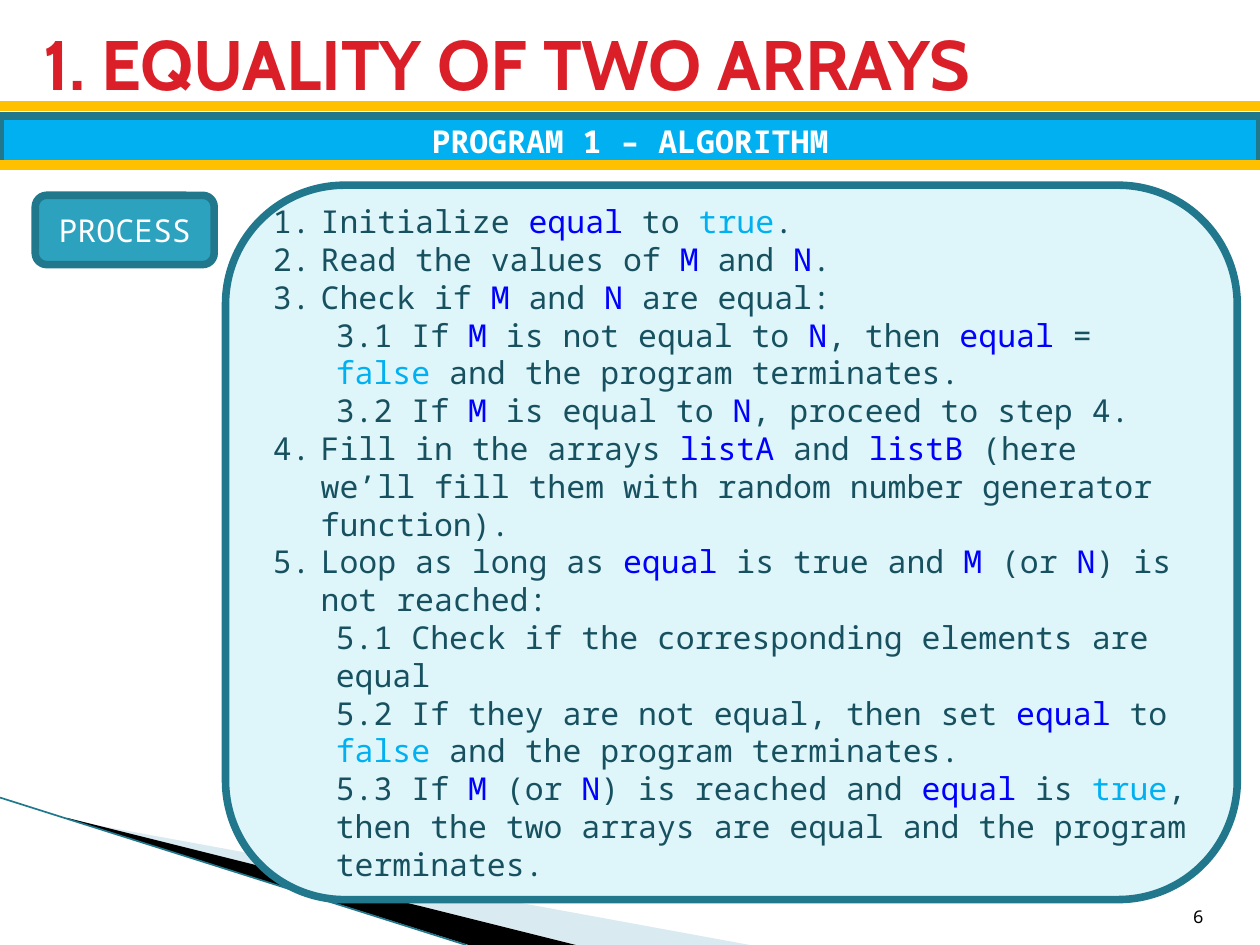
from lxml.etree import SubElement
from pptx import Presentation
from pptx.dml.color import RGBColor
from pptx.enum.shapes import MSO_CONNECTOR, MSO_SHAPE
from pptx.enum.text import MSO_ANCHOR, PP_ALIGN
from pptx.oxml.ns import qn
from pptx.util import Inches, Pt

MONO = "Noto Sans Mono"
TEAL, DARK, BLUE, SKY, GOLD = "21788D", "175160", "0000FF", "00B0F0", "FFC000"


def colour(hex_string):
    return RGBColor.from_string(hex_string)


def write(paragraph, text, size, hex_string, font=MONO, bold=False):
    run = paragraph.add_run()
    run.text = text
    run.font.size = Pt(size)
    run.font.name = font
    run.font.bold = bold
    run.font.color.rgb = colour(hex_string)


presentation = Presentation()
presentation.slide_width, presentation.slide_height = Inches(10), Inches(7.5)
column = presentation.slide_width / 100
row = presentation.slide_height / 75
slide = presentation.slides.add_slide(presentation.slide_layouts[6])

wedges = [
    ([(5.5, 65.1), (59.5, 75), (45.6, 75), (5.5, 65)], "A0CBDC", 40),
    ([(5.3, 64.9), (45.7, 75), (37.2, 75), (5.4, 65)], "000000", 100),
]
for corners, fill, opacity in wedges:
    points = [(round(x * column), round(y * row)) for x, y in corners]
    builder = slide.shapes.build_freeform(*points[0])
    builder.add_line_segments(points[1:])
    wedge = builder.convert_to_shape()
    wedge.shadow.inherit = False
    wedge.fill.solid()
    wedge.fill.fore_color.rgb = colour(fill)
    wedge.line.fill.background()
    if opacity < 100:
        tint = wedge.fill._xPr.find(qn("a:solidFill"))[0]
        SubElement(tint, qn("a:alpha"), val=str(opacity * 1000))

rules = [
    (0, 63.3, 37, 75, TEAL, 0.95),
    (0, 8.4, 100, 8.4, GOLD, 6),
    (0, 13.1, 100, 13.1, GOLD, 6),
]
panels = [
    (MSO_SHAPE.ROUNDED_RECTANGLE, 17.9, 14.7, 80.3, 56.7, "DEF5FA", "", False),
    (MSO_SHAPE.RECTANGLE, 0, 9.2, 100, 3.9, SKY, "PROGRAM 1 – ALGORITHM", True),
    (MSO_SHAPE.ROUNDED_RECTANGLE, 2.8, 15.5, 14.2, 5.5, "2DA2BF", "PROCESS", False),
]
drawing_order = [rules[0], panels[0], rules[1], panels[1], rules[2], panels[2]]
frames = []
for item in drawing_order:
    if item in rules:
        left, top, right, bottom, line_colour, width = item
        connector = slide.shapes.add_connector(
            MSO_CONNECTOR.STRAIGHT,
            round(left * column), round(top * row),
            round(right * column), round(bottom * row),
        )
        connector.line.color.rgb = colour(line_colour)
        connector.line.width = Pt(width)
        SubElement(connector._element.spPr, qn("a:effectLst"))
        continue
    kind, left, top, width, height, fill, label, bold = item
    shape = slide.shapes.add_shape(
        kind, round(left * column), round(top * row),
        round(width * column), round(height * row),
    )
    shape.shadow.inherit = False
    shape.fill.solid()
    shape.fill.fore_color.rgb = colour(fill)
    shape.line.color.rgb = colour(TEAL)
    shape.line.width = Pt(4.33)
    frames.append(shape.text_frame)
    shape.text_frame.vertical_anchor = MSO_ANCHOR.MIDDLE
    if label:
        paragraph = shape.text_frame.paragraphs[0]
        paragraph.alignment = PP_ALIGN.CENTER
        write(paragraph, label, 18, "FFFFFF", bold=bold)

steps = [
    (0, "Initialize |equal |to |true|."),
    (0, "Read the values of |M |and |N|."),
    (0, "Check if |M |and |N |are equal:"),
    (1, "3.1 If |M |is not equal to |N|, then |equal |= |false |and the program terminates."),
    (1, "3.2 If |M| is equal to |N|, proceed to step 4."),
    (0, "Fill in the arrays |listA |and |listB |(here we’ll fill them with random number generator function)."),
    (0, "Loop as long as |equal |is true and |M| (or |N|) is not reached:"),
    (1, "5.1 Check if the corresponding elements are equal"),
    (1, "5.2 If they are not equal, then set |equal| to |false |and the program terminates."),
    (1, "5.3 If |M |(or |N|) is reached and |equal |is |true|, then the two arrays are equal and the program terminates."),
]
word_colours = dict.fromkeys(["equal", "M", "N", "listA", "listB"], BLUE)
word_colours.update(true=SKY, false=SKY)
algorithm = frames[0]
for index, (level, text) in enumerate(steps):
    paragraph = algorithm.add_paragraph() if index else algorithm.paragraphs[0]
    paragraph.alignment = PP_ALIGN.LEFT
    paragraph.level = level
    properties = paragraph._p.get_or_add_pPr()
    properties.set("marL", str(Inches(0.5 if level else 0.38)))
    properties.set("indent", str(Inches(0 if level else -0.38)))
    if level:
        SubElement(properties, qn("a:buNone"))
    else:
        SubElement(properties, qn("a:buFont"), typeface=MONO)
        SubElement(properties, qn("a:buAutoNum"), type="arabicPeriod")
    for piece in text.split("|"):
        write(paragraph, piece, 18, word_colours.get(piece.strip(), DARK))

captions = [
    (2.5, 1.7, 94.7, 6.5, "1. EQUALITY OF TWO ARRAYS", 40, "DA1F28", "Cabin", True,
     MSO_ANCHOR.MIDDLE, PP_ALIGN.LEFT),
    (92.5, 70.1, 4, 4, "6", 10, "000000", MONO, False,
     MSO_ANCHOR.BOTTOM, PP_ALIGN.RIGHT),
]
for left, top, width, height, text, size, ink, font, bold, anchor, alignment in captions:
    caption = slide.shapes.add_textbox(
        round(left * column), round(top * row),
        round(width * column), round(height * row),
    )
    caption.text_frame.word_wrap = True
    caption.text_frame.vertical_anchor = anchor
    paragraph = caption.text_frame.paragraphs[0]
    paragraph.alignment = alignment
    write(paragraph, text, size, ink, font, bold)

presentation.save("out.pptx")
